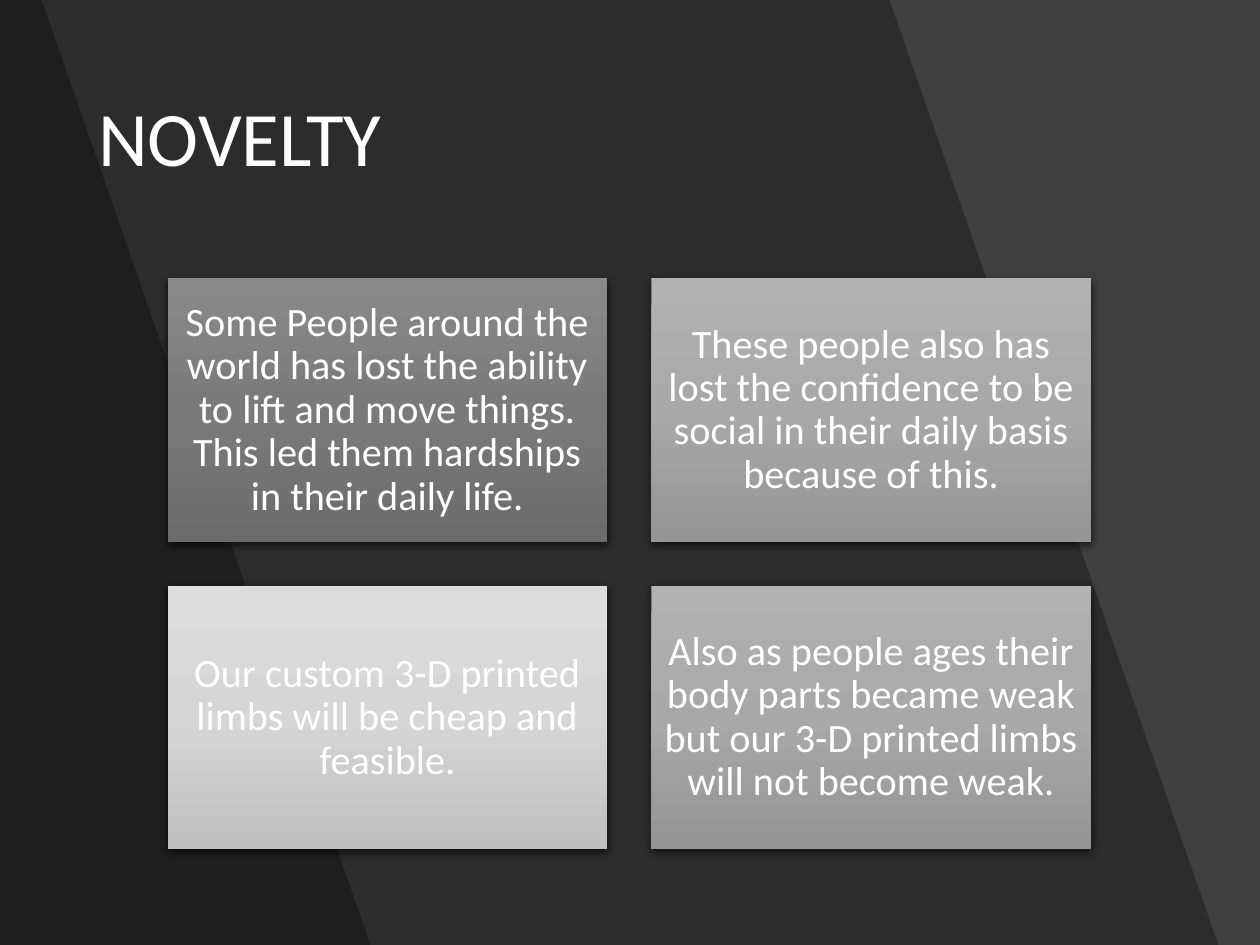
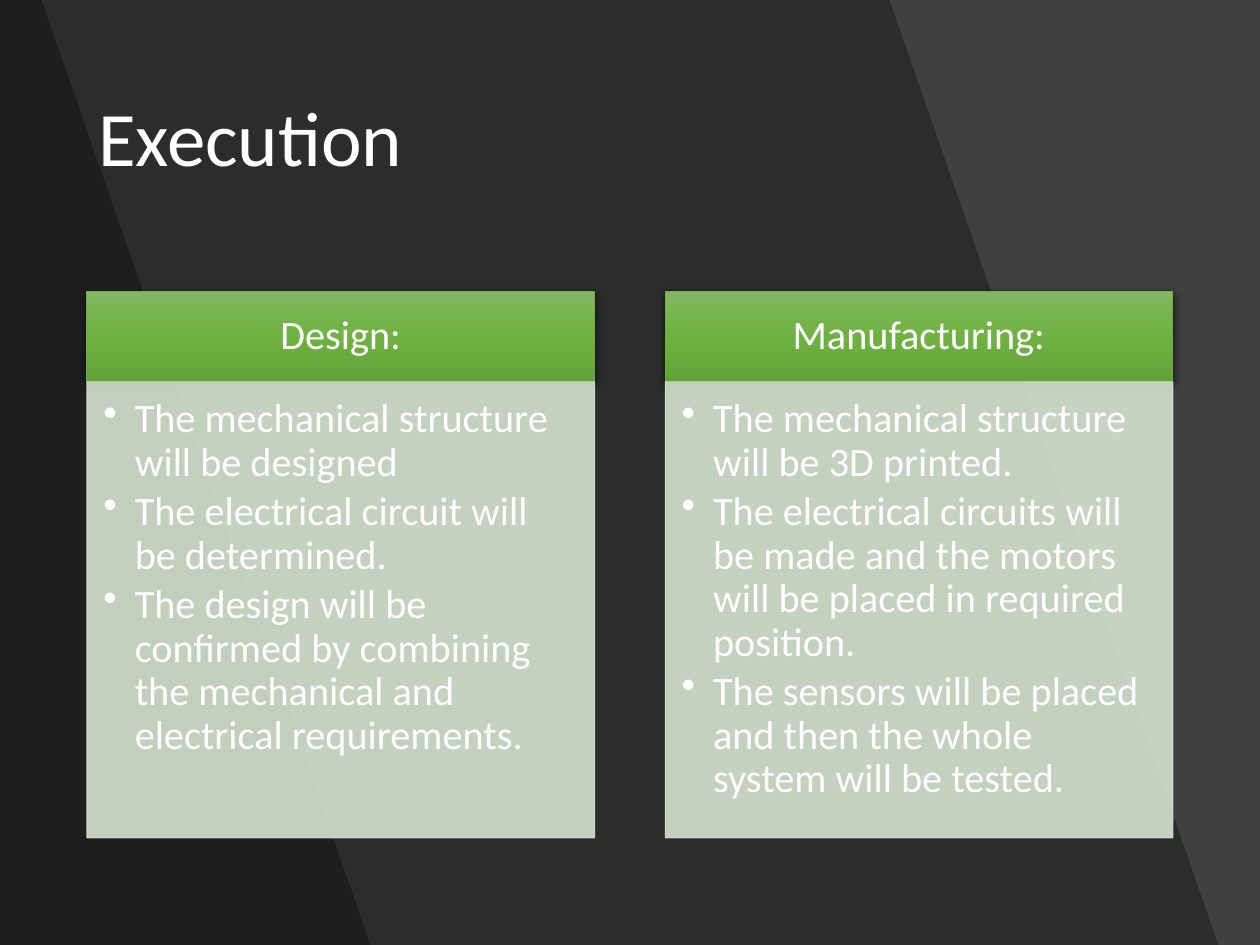
import pptx
import pptx.util
import pptx.dml.color
import pptx.enum.shapes
import pptx.enum.text
import pptx.oxml
import pptx.oxml.ns

Inches, Pt = pptx.util.Inches, pptx.util.Pt
ALIGN = pptx.enum.text.PP_ALIGN
ANCHOR = pptx.enum.text.MSO_ANCHOR
NAMESPACE = pptx.oxml.ns.nsdecls("a")
QN = pptx.oxml.ns.qn

WIDTH, HEIGHT = 10, 7.5
FONT = "Calibri"
WHITE, BLACK, BACKDROP = "FFFFFF", "000000", "404040"
GREEN, PALE_GREEN = "70AD47", "D5E3CF"

# Gradients from top to bottom
DARK_GREY = ("898989", "7A7A7A", "6C6C6C")
MID_GREY = ("B2B2B2", "A8A8A8", "959595")
LIGHT_GREY = ("DCDCDC", "D6D6D6", "BEBEBE")
GREENS = ("81B861", "6FB242", "62A336")

CARDS = [
    ("Some People around the world has lost the ability to lift and move things. "
     "This led them hardships in their daily life.", DARK_GREY),
    ("These people also has lost the confidence to be social in their daily basis "
     "because of this.", MID_GREY),
    ("Our custom 3-D printed limbs will be cheap and feasible.", LIGHT_GREY),
    ("Also as people ages their body parts became weak but our 3-D printed limbs "
     "will not become weak.", MID_GREY),
]
STAGES = [
    ("Design:", [
        "The mechanical structure will be designed",
        "The electrical circuit will be determined.",
        "The design will be confirmed by combining the mechanical and electrical "
        "requirements."]),
    ("Manufacturing:", [
        "The mechanical structure will be 3D printed.",
        "The electrical circuits will be made and the motors will be placed in "
        "required position.",
        "The sensors will be placed and then the whole system will be tested."]),
]


def color(value):
    return pptx.dml.color.RGBColor.from_string(value)


def paint(fill, value, opacity=100):
    """Give a solid fill, optionally see-through."""
    fill.solid()
    fill.fore_color.rgb = color(value)
    if opacity < 100:
        alpha = f'<a:alpha {NAMESPACE} val="{opacity * 1000}"/>'
        # The colour element is the only srgbClr inside this fill
        target = fill._xPr.find(QN("a:solidFill")).find(QN("a:srgbClr"))
        target.append(pptx.oxml.parse_xml(alpha))


def outline(shape, value=None, opacity=100):
    if value is None:
        shape.line.fill.background()
    else:
        shape.line.width = Pt(0.5)
        paint(shape.line.fill, value, opacity)


def write(frame, texts, size, align, anchor, insets=(0.1, 0.1, 0.1, 0.1)):
    """Fill a text frame with one paragraph per text."""
    frame.word_wrap = True
    frame.vertical_anchor = anchor
    (frame.margin_left, frame.margin_top,
     frame.margin_right, frame.margin_bottom) = map(Inches, insets)
    frame.text = "\n".join(texts)
    for para in frame.paragraphs:
        para.alignment = align
        para.line_spacing = 0.9
        for span in para.runs:
            span.font.name = FONT
            span.font.size = Pt(size)
            span.font.color.rgb = color(WHITE)


def add_rectangle(page, left, top, width, height):
    return page.shapes.add_shape(pptx.enum.shapes.MSO_SHAPE.RECTANGLE,
                                 *map(Inches, (left, top, width, height)))


def add_gradient_box(page, place, text, gradient, edge=None):
    """Add a shaded, shadowed rectangle with centred text."""
    box = add_rectangle(page, *place)
    stops = "".join(f'<a:gs pos="{index * 50000}"><a:srgbClr val="{value}"/></a:gs>'
                    for index, value in enumerate(gradient))
    properties = box.element.spPr
    properties.append(pptx.oxml.parse_xml(
        f'<a:gradFill {NAMESPACE} rotWithShape="1"><a:gsLst>{stops}</a:gsLst>'
        '<a:lin ang="5400000" scaled="0"/></a:gradFill>'))
    outline(box, edge)
    properties.append(pptx.oxml.parse_xml(
        f'<a:effectLst {NAMESPACE}><a:outerShdw blurRad="{Pt(4.5)}" dist="{Pt(1.5)}" '
        'dir="5400000" algn="ctr" rotWithShape="0"><a:srgbClr val="000000">'
        '<a:alpha val="63000"/></a:srgbClr></a:outerShdw></a:effectLst>'))
    write(box.text_frame, [text], 23, ALIGN.CENTER, ANCHOR.MIDDLE)


def add_bullet_box(page, place, items):
    """Add a translucent rectangle with a bulleted list."""
    box = add_rectangle(page, *place)
    box.shadow.inherit = False
    paint(box.fill, PALE_GREEN, 90)
    outline(box, PALE_GREEN, 90)
    write(box.text_frame, items, 23, ALIGN.LEFT, ANCHOR.TOP, (0.13, 0.13, 0.18, 0.2))
    for para in box.text_frame.paragraphs:
        para.space_after = Pt(3.45)
        properties = para._p.get_or_add_pPr()
        properties.set("marL", str(Inches(0.25)))
        properties.set("indent", str(-Inches(0.25)))
        properties.append(pptx.oxml.parse_xml(f'<a:buChar {NAMESPACE} char="•"/>'))


def add_page(deck, layout, title):
    page = deck.slides.add_slide(layout)
    heading = page.shapes.title
    heading.left, heading.top, heading.width, heading.height = map(
        Inches, (0.68, 0.4, 8.63, 1.45))
    write(heading.text_frame, [title], 44, ALIGN.LEFT, ANCHOR.MIDDLE,
          (0.1, 0.05, 0.1, 0.05))
    return page


def add_bands(page, layout):
    """Draw the slanted bands and move them behind everything on the layout."""
    for depth, top_edge in enumerate((7.06, 0.33)):
        builder = page.shapes.build_freeform(0, 0, scale=Inches(0.01))
        corners = ((top_edge, 0), (top_edge + 2.61, HEIGHT), (0, HEIGHT))
        builder.add_line_segments([(x * 100, y * 100) for x, y in corners])
        band = builder.convert_to_shape()
        band.shadow.inherit = False
        paint(band.fill, BLACK, 30)
        outline(band)
        layout.shapes.element.insert(2 + depth, band.element)


def fill_novelty(page):
    width, height, gap = 3.49, 2.09, 0.35
    for index, (text, gradient) in enumerate(CARDS):
        row, column = divmod(index, 2)
        place = (1.33 + column * (width + gap), 2.21 + row * (height + gap),
                 width, height)
        add_gradient_box(page, place, text, gradient)


def fill_execution(page):
    width, gap, top, header = 4.03, 0.56, 2.31, 0.72
    for column, (name, items) in enumerate(STAGES):
        left = 0.69 + column * (width + gap)
        add_gradient_box(page, (left, top, width, header), name, GREENS, GREEN)
        add_bullet_box(page, (left, top + header, width, 3.62), items)


def main():
    deck = pptx.Presentation()
    deck.slide_width, deck.slide_height = Inches(WIDTH), Inches(HEIGHT)

    # Shared layout: backdrop, bands and title only
    layout = deck.slide_layouts[5]
    paint(layout.background.fill, BACKDROP)
    for holder in list(layout.placeholders)[1:]:
        layout.shapes.element.remove(holder.element)

    novelty = add_page(deck, layout, "NOVELTY")
    add_bands(novelty, layout)
    fill_novelty(novelty)
    fill_execution(add_page(deck, layout, "Execution"))
    deck.save("out.pptx")


if __name__ == "__main__":
    main()
